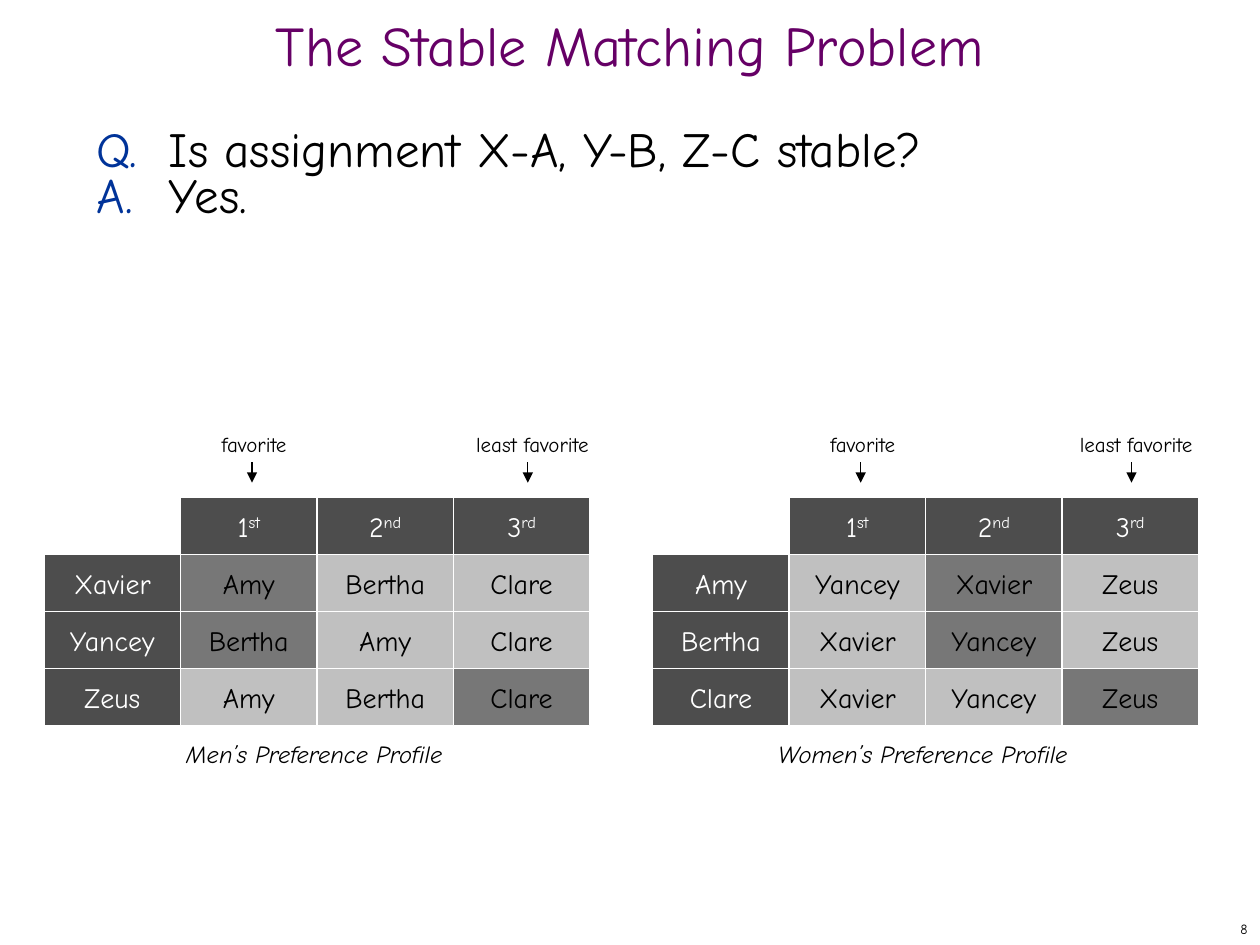
import pptx
import pptx.dml.color
import pptx.enum.shapes
import pptx.enum.text
import pptx.oxml
import pptx.oxml.ns
import pptx.util
from dataclasses import dataclass

Cm, Pt = pptx.util.Cm, pptx.util.Pt
Align = pptx.enum.text.PP_ALIGN
Anchor = pptx.enum.text.MSO_ANCHOR
AutoSize = pptx.enum.text.MSO_AUTO_SIZE


@dataclass(frozen=True)
class Theme:
    font: str = "Comic Neue"
    ink: str = "000000"
    white: str = "FFFFFF"
    title: str = "660066"
    letter: str = "003399"
    header: str = "4D4D4D"
    cell: str = "C0C0C0"
    matched: str = "777777"
    title_size: float = 32
    body_size: float = 28
    cell_size: float = 16
    caption_size: float = 14
    label_size: float = 12
    number_size: float = 8
    line_width: float = 0.75


THEME = Theme()
COLUMN, ROW = 2.75, 1.15
ORDINALS = [("1", "st"), ("2", "nd"), ("3", "rd")]
MEN = [
    ("Xavier", ["Amy", "Bertha", "Clare"], "Amy"),
    ("Yancey", ["Bertha", "Amy", "Clare"], "Bertha"),
    ("Zeus", ["Amy", "Bertha", "Clare"], "Clare"),
]
WOMEN = [
    ("Amy", ["Yancey", "Xavier", "Zeus"], "Xavier"),
    ("Bertha", ["Xavier", "Yancey", "Zeus"], "Yancey"),
    ("Clare", ["Xavier", "Yancey", "Zeus"], "Zeus"),
]


def rgb(value):
    return pptx.dml.color.RGBColor.from_string(value)


def apply(target, values):
    for name, value in values.items():
        setattr(target, name, value)


def place(box, left, top, width, height):
    apply(box, dict(left=Cm(left), top=Cm(top), width=Cm(width), height=Cm(height)))


def add_span(para, text, size, color, italic=None, superscript=False):
    span = para.add_run()
    span.text = text
    apply(span.font, dict(name=THEME.font, size=Pt(size), italic=italic))
    span.font.color.rgb = rgb(color)
    if superscript:
        span.font._element.set("baseline", "30000")


def add_text(page, bounds, text, size, align=Align.CENTER, italic=None):
    box = page.shapes.add_textbox(*map(Cm, bounds))
    apply(box.text_frame, dict(word_wrap=False, vertical_anchor=Anchor.MIDDLE))
    para = box.text_frame.paragraphs[0]
    para.alignment = align
    add_span(para, text, size, THEME.ink, italic)
    return box


def add_cell(page, left, top, fill, color, text, suffix=""):
    box = page.shapes.add_shape(pptx.enum.shapes.MSO_SHAPE.RECTANGLE,
                                Cm(left), Cm(top), Cm(COLUMN), Cm(ROW))
    box.shadow.inherit = False
    box.fill.solid()
    box.fill.fore_color.rgb = rgb(fill)
    box.line.color.rgb = rgb(THEME.white)
    box.line.width = Pt(THEME.line_width)
    apply(box.text_frame, dict(word_wrap=False, vertical_anchor=Anchor.MIDDLE))
    para = box.text_frame.paragraphs[0]
    para.alignment = Align.CENTER
    add_span(para, text, THEME.cell_size, color)
    if suffix:
        add_span(para, suffix, THEME.cell_size, color, superscript=True)


def add_label(page, left, top, width, text):
    """Place a small label with an arrow down to the column below it."""
    box = add_text(page, (left, top, width, 0.51), text, THEME.label_size, Align.LEFT)
    apply(box.text_frame, dict(margin_left=0, margin_top=0, margin_right=0, margin_bottom=0,
                               vertical_anchor=Anchor.TOP, auto_size=AutoSize.SHAPE_TO_FIT_TEXT))
    box.text_frame.paragraphs[0].space_before = Pt(7.5)
    # The arrow sits under the middle of a short label, left of it under a long one.
    x = left + min(width / 2, 1.04) if width > 2 else left + 0.61
    arrow = page.shapes.add_connector(pptx.enum.shapes.MSO_CONNECTOR.STRAIGHT,
                                      Cm(x), Cm(top + 0.63), Cm(x), Cm(top + 1.04))
    arrow.line.color.rgb = rgb(THEME.ink)
    arrow.line.width = Pt(THEME.line_width)
    line = arrow.line._get_or_add_ln()
    line.append(pptx.oxml.parse_xml(
        f'<a:tailEnd {pptx.oxml.ns.nsdecls("a")} type="triangle"/>'))
    arrow._element.spPr.append(pptx.oxml.parse_xml(
        f'<a:effectLst {pptx.oxml.ns.nsdecls("a")}/>'))


def add_profile(page, left, top, rows, caption, least_offset):
    grid_top = top + 1.34
    for column, (digit, suffix) in enumerate(ORDINALS, 1):
        add_cell(page, left + column * COLUMN, grid_top, THEME.header, THEME.white, digit, suffix)
    for row, (person, choices, partner) in enumerate(rows, 1):
        y = grid_top + row * ROW
        add_cell(page, left, y, THEME.header, THEME.white, person)
        for column, choice in enumerate(choices, 1):
            fill = THEME.matched if choice == partner else THEME.cell
            add_cell(page, left + column * COLUMN, y, fill, THEME.ink, choice)
    add_label(page, left + 3.58, top, 1.35, "favorite")
    add_label(page, left + least_offset, top, 2.31, "least favorite")
    add_text(page, (left - 0.05, top + 5.92, 11, ROW), caption,
             THEME.caption_size, italic=True)


def add_title(page, left, top, width, height):
    box = page.shapes.title
    place(box, left, top, width, height)
    apply(box.text_frame, dict(auto_size=AutoSize.NONE, vertical_anchor=Anchor.MIDDLE))
    para = box.text_frame.paragraphs[0]
    apply(para, dict(alignment=Align.CENTER, line_spacing=0.7, space_before=Pt(0)))
    add_span(para, "The Stable Matching Problem", THEME.title_size, THEME.title)


def add_question(page, left, top, width, height):
    box = page.placeholders[1]
    place(box, left, top, width, height)
    frame = box.text_frame
    apply(frame, dict(auto_size=AutoSize.NONE, vertical_anchor=Anchor.TOP))
    lines = [("Q.", "Is assignment X-A, Y-B, Z-C stable?"), ("A.", "Yes.")]
    for index, (letter, text) in enumerate(lines):
        para = frame.add_paragraph() if index else frame.paragraphs[0]
        apply(para, dict(alignment=Align.LEFT, line_spacing=Pt(26), space_before=Pt(0)))
        properties = para._p.get_or_add_pPr()
        hanging = Cm(1.45)
        properties.set("marL", str(hanging))
        properties.set("indent", str(-hanging))
        properties.append(pptx.oxml.parse_xml(
            f'<a:buNone {pptx.oxml.ns.nsdecls("a")}/>'))
        add_span(para, letter + "\t", THEME.body_size, THEME.letter)
        add_span(para, text, THEME.body_size, THEME.ink)


def main():
    deck = pptx.Presentation()
    apply(deck, dict(slide_width=Cm(25.4), slide_height=Cm(19.05)))
    page = deck.slides.add_slide(deck.slide_layouts[1])
    add_title(page, 0, 0.43, 25.4, 1.27)
    add_question(page, 1.7, 2.54, 21.8, 6.35)
    add_profile(page, 0.89, 8.69, MEN, "Men’s Preference Profile", 8.71)
    add_profile(page, 13.16, 8.69, WOMEN, "Women’s Preference Profile", 8.61)
    add_text(page, (20.12, 18.42, 5.28, 0.63), "8", THEME.number_size, Align.RIGHT)
    deck.save("out.pptx")


if __name__ == "__main__":
    main()
